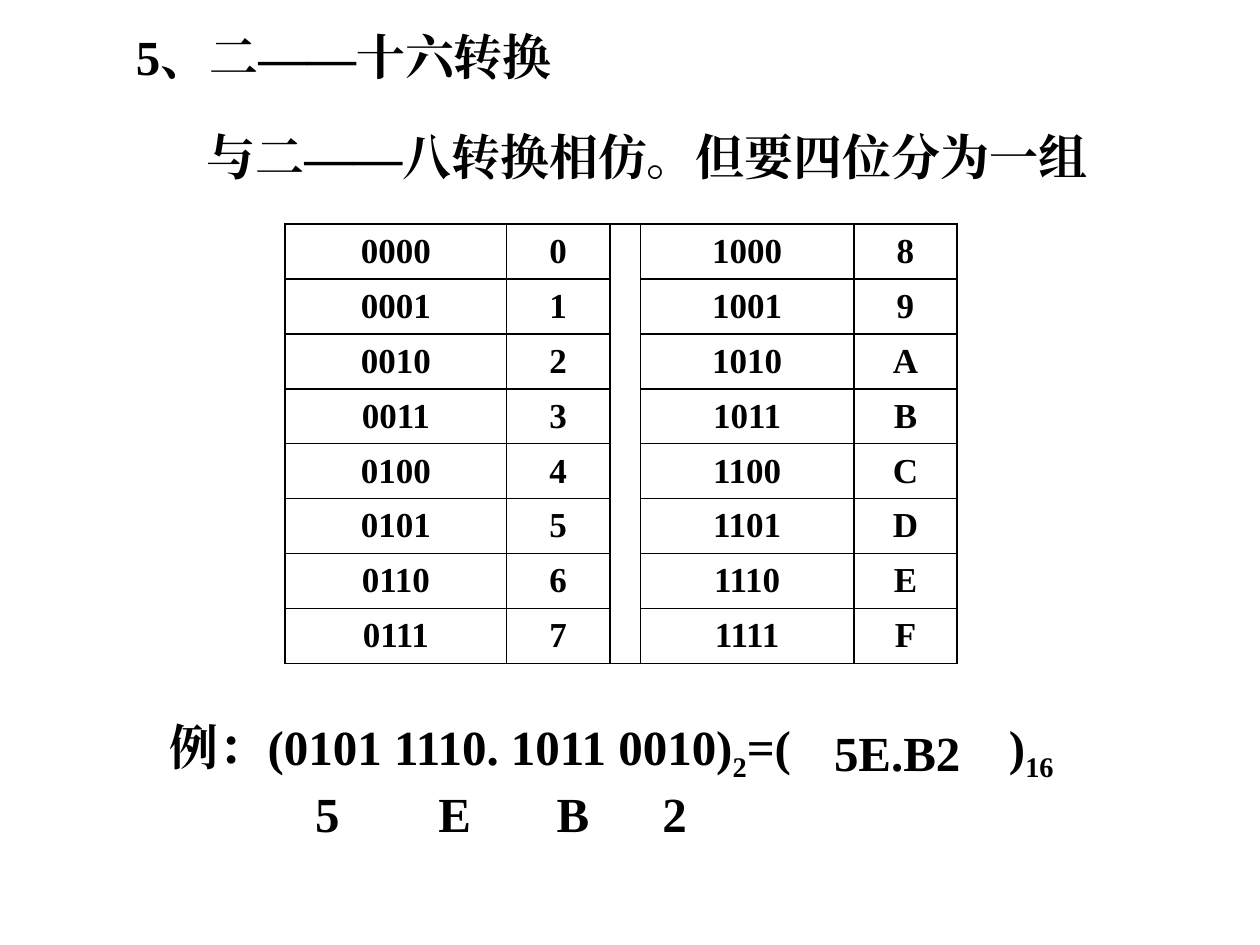
import pptx
import pptx.util
import pptx.dml.color
import pptx.enum.text
import pptx.oxml
import pptx.oxml.ns
from lxml import etree

Pt = pptx.util.Pt
qn = pptx.oxml.ns.qn
ALIGN = pptx.enum.text.PP_ALIGN
ANCHOR = pptx.enum.text.MSO_ANCHOR
FONT = "Times New Roman"
COLORS = {"ink": "000000", "paper": "FFFFFF"}


def color(name):
    return pptx.dml.color.RGBColor.from_string(COLORS[name])


def style_para(para, size, align):
    para.alignment = align
    para.font.size = Pt(size)
    para.font.bold = True
    para.font.color.rgb = color("ink")
    para.font.name = FONT
    defaults = para._p.pPr.find(qn("a:defRPr"))
    etree.SubElement(defaults, qn("a:ea")).set("typeface", FONT)


def add_tabs(para, stops):
    tabs = etree.SubElement(para._p.get_or_add_pPr(), qn("a:tabLst"))
    for stop in stops:
        etree.SubElement(tabs, qn("a:tab"), pos=str(Pt(stop)), algn="l")


def add_box(page, left, top, width, height):
    box = page.shapes.add_textbox(Pt(left), Pt(top), Pt(width), Pt(height))
    box.text_frame.word_wrap = True
    return box.text_frame


def add_line(page, left, top, width, height, text, align):
    para = add_box(page, left, top, width, height).paragraphs[0]
    para.add_run().text = text
    style_para(para, 28, align)


def place_title(page, left, top, width, height, text):
    title = page.shapes.title
    title.left, title.top = Pt(left), Pt(top)
    title.width, title.height = Pt(width), Pt(height)
    frame = title.text_frame
    frame.word_wrap = True
    frame.auto_size = pptx.enum.text.MSO_AUTO_SIZE.NONE
    frame.vertical_anchor = ANCHOR.TOP
    para = frame.paragraphs[0]
    para.add_run().text = text
    style_para(para, 28, ALIGN.JUSTIFY)


def format_cell(cell):
    cell.fill.solid()
    cell.fill.fore_color.rgb = color("paper")
    cell.vertical_anchor = ANCHOR.MIDDLE
    properties = cell._tc.get_or_add_tcPr()
    for index, side in enumerate(("lnL", "lnR", "lnT", "lnB")):
        border = etree.Element(qn(f"a:{side}"), w=str(Pt(1)))
        fill = etree.SubElement(border, qn("a:solidFill"))
        etree.SubElement(fill, qn("a:srgbClr"), val=COLORS["ink"])
        properties.insert(index, border)


def add_digit_table(page, left, top, widths, row_height):
    """Four-bit groups beside their hexadecimal digits, in two halves."""
    rows = 8
    table = page.shapes.add_table(
        rows, len(widths), Pt(left), Pt(top), Pt(sum(widths)), Pt(rows * row_height)
    ).table
    table.first_row = table.horz_banding = False
    for column, width in zip(table.columns, widths):
        column.width = Pt(width)
    for number, row in enumerate(table.rows):
        row.height = Pt(row_height)
        high = number + rows
        texts = (f"{number:04b}", f"{number:X}", "", f"{high:04b}", f"{high:X}")
        for cell, text in zip(row.cells, texts):
            format_cell(cell)
            para = cell.text_frame.paragraphs[0]
            if text:
                para.add_run().text = text
            style_para(para, 20, ALIGN.CENTER)
    table.cell(0, 2).merge(table.cell(rows - 1, 2))


def add_example(page, left, top, width, height):
    frame = add_box(page, left, top, width, height)

    # Equation with subscript bases
    equation = frame.paragraphs[0]
    add_tabs(equation, [479.5])
    parts = (("例：(0101 1110. 1011 0010)", False), ("2", True),
             ("=(\t)", False), ("16", True))
    for text, is_base in parts:
        span = equation.add_run()
        span.text = text
        if is_base:
            span._r.get_or_add_rPr().set("baseline", "-25000")
    style_para(equation, 28, ALIGN.LEFT)

    # Digit under each group
    digits = frame.add_paragraph()
    add_tabs(digits, [83, 153.5, 221, 281.5])
    digits.add_run().text = "\t5\tE\tB\t2"
    style_para(digits, 28, ALIGN.LEFT)

    # Answer between the brackets
    add_line(page, left + 379.5, top + 3.5, 104, 41, "5E.B2", ALIGN.LEFT)


def main():
    deck = pptx.Presentation()
    deck.slide_width, deck.slide_height = Pt(720), Pt(540)
    page = deck.slides.add_slide(deck.slide_layouts[5])
    place_title(page, 70.5, 11.5, 270, 47.5, "5、二——十六转换")
    add_line(page, 111, 68.5, 595.5, 41, "与二——八转换相仿。但要四位分为一组", ALIGN.LEFT)
    add_digit_table(page, 163, 128, [126.5, 59, 17.5, 122, 59], 31.4)
    add_example(page, 90, 406, 582, 75)
    deck.save("out.pptx")


if __name__ == "__main__":
    main()
